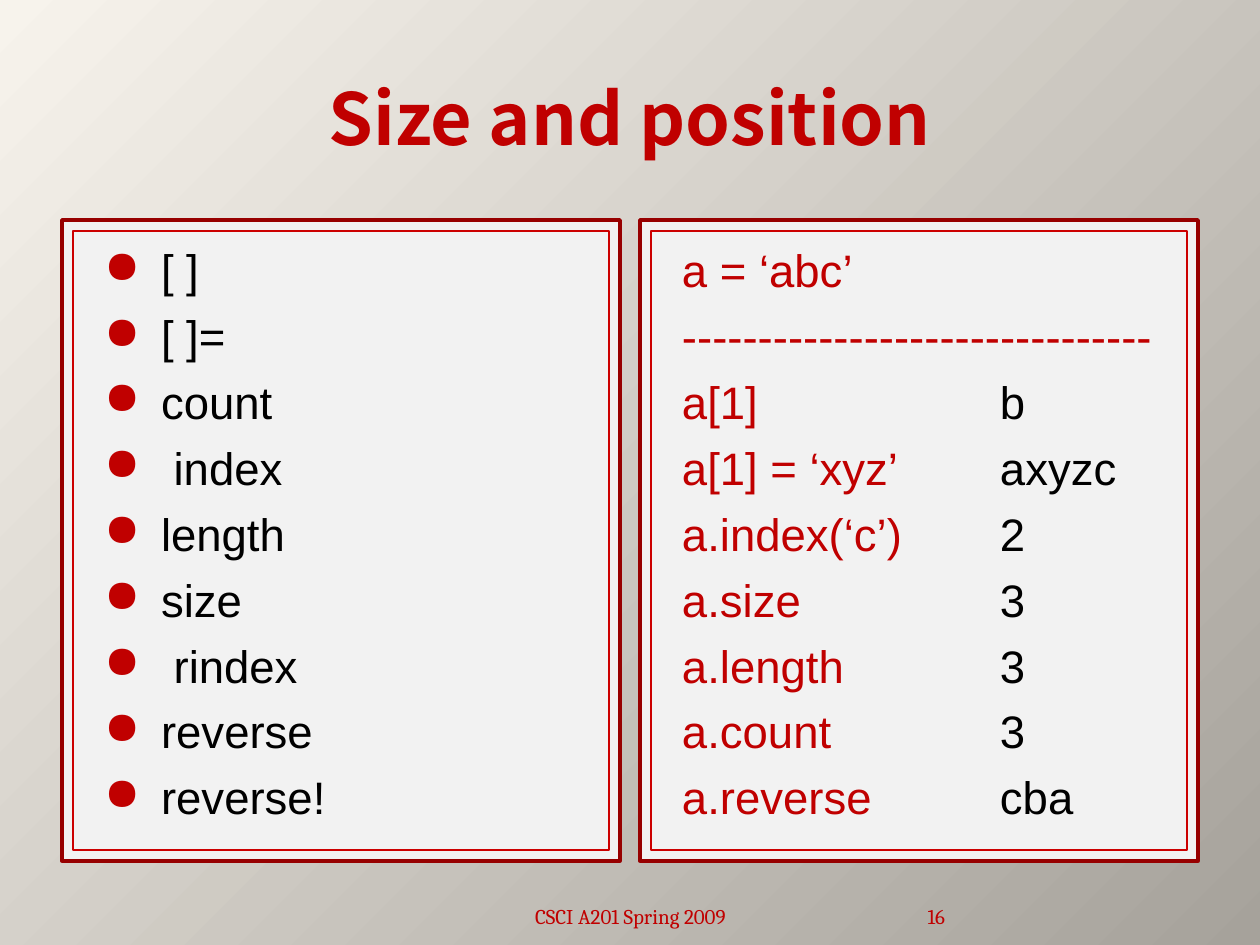
from dataclasses import dataclass

import pptx
import pptx.dml.color
import pptx.enum.shapes
import pptx.enum.text
import pptx.util
from lxml import etree
from pptx.oxml.ns import qn

ALIGN = pptx.enum.text.PP_ALIGN
ANCHOR = pptx.enum.text.MSO_ANCHOR


@dataclass(frozen=True)
class Theme:
    light: str = "F7F3EC"
    shade: str = "A6A29B"
    panel: str = "F2F2F2"
    frame: str = "970000"
    inner_frame: str = "CC0000"
    accent: str = "C00000"
    text: str = "000000"
    title_font: str = "Noto Sans CJK SC"
    body_font: str = "Arial"
    footer_font: str = "Cambria"
    title_size: float = 41
    body_size: float = 26
    footer_size: float = 12
    body_gap: float = 6.5


def px(length):
    return pptx.util.Emu(round(length * 914400 / 126))


def rgb(value):
    return pptx.dml.color.RGBColor.from_string(value)


class SlideBuilder:
    def __init__(self, presentation, theme):
        self.theme = theme
        self.slide = presentation.slides.add_slide(presentation.slide_layouts[5])

    def background(self):
        fill = self.slide.background.fill
        fill.gradient()
        fill.gradient_angle = 315
        for stop, color in zip(fill.gradient_stops, (self.theme.light, self.theme.shade)):
            stop.color.rgb = rgb(color)

    def style_run(self, run, font, size, color, bold=False):
        run.font.name = font
        run.font.size = pptx.util.Pt(size)
        run.font.color.rgb = rgb(color)
        run.font.bold = bold

    def place(self, shape, left, top, width, height):
        shape.left, shape.top = px(left), px(top)
        shape.width, shape.height = px(width), px(height)

    def title(self, text, *box):
        shape = self.slide.shapes.title
        self.place(shape, *box)
        frame = shape.text_frame
        frame.text = text
        frame.vertical_anchor = ANCHOR.MIDDLE
        paragraph = frame.paragraphs[0]
        paragraph.alignment = ALIGN.CENTER
        self.style_run(paragraph.runs[0], self.theme.title_font,
                       self.theme.title_size, self.theme.accent, bold=True)

    def rectangle(self, left, top, width, height, line, weight):
        shape = self.slide.shapes.add_shape(
            pptx.enum.shapes.MSO_SHAPE.RECTANGLE, px(left), px(top), px(width), px(height))
        shape.shadow.inherit = False
        shape.fill.solid()
        shape.fill.fore_color.rgb = rgb(self.theme.panel)
        shape.line.color.rgb = rgb(line)
        shape.line.width = pptx.util.Pt(weight)
        return shape

    def panel(self, left, top, width, height, margin):
        """Draw a double-framed panel and return its empty text frame."""
        self.rectangle(left, top, width, height, self.theme.frame, 2)
        inner = self.rectangle(left + margin, top + margin, width - 2 * margin,
                               height - 2 * margin, self.theme.inner_frame, 0.75)
        frame = inner.text_frame
        frame.word_wrap = True
        frame.vertical_anchor = ANCHOR.TOP
        frame.margin_left, frame.margin_right = px(31), px(13)
        frame.margin_top = px(11)
        return frame

    def body_paragraph(self, frame, index):
        paragraph = frame.add_paragraph() if index else frame.paragraphs[0]
        paragraph.alignment = ALIGN.LEFT
        paragraph.space_before = pptx.util.Pt(self.theme.body_gap if index else 0)
        return paragraph

    def bullets(self, frame, items):
        for index, item in enumerate(items):
            paragraph = self.body_paragraph(frame, index)
            properties = paragraph._p.get_or_add_pPr()
            properties.set("marL", str(px(57)))
            properties.set("indent", str(-px(57)))
            color = etree.SubElement(properties, qn("a:buClr"))
            etree.SubElement(color, qn("a:srgbClr"), val=self.theme.accent)
            etree.SubElement(properties, qn("a:buChar"), char="●")
            paragraph.text = item
            self.style_run(paragraph.runs[0], self.theme.body_font,
                           self.theme.body_size, self.theme.text)

    def results(self, frame, rows, tab):
        """Write expressions in the accent colour, results at a tab stop."""
        for index, (expression, *result) in enumerate(rows):
            paragraph = self.body_paragraph(frame, index)
            pieces = [(expression, self.theme.accent)]
            if result:
                tabs = etree.SubElement(paragraph._p.get_or_add_pPr(), qn("a:tabLst"))
                etree.SubElement(tabs, qn("a:tab"), pos=str(px(tab)), algn="l")
                pieces.append(("\t" + result[0], self.theme.text))
            for text, color in pieces:
                run = paragraph.add_run()
                run.text = text
                self.style_run(run, self.theme.body_font, self.theme.body_size, color)

    def footer(self, text, left, top, width, height, alignment, side_margin):
        box = self.slide.shapes.add_textbox(px(left), px(top), px(width), px(height))
        frame = box.text_frame
        frame.word_wrap = True
        frame.vertical_anchor = ANCHOR.BOTTOM
        frame.margin_left = frame.margin_right = px(side_margin)
        frame.text = text
        paragraph = frame.paragraphs[0]
        paragraph.alignment = alignment
        self.style_run(paragraph.runs[0], self.theme.footer_font,
                       self.theme.footer_size, self.theme.accent)


METHODS = ["[ ]", "[ ]=", "count", " index", "length", "size",
           " rindex", "reverse", "reverse!"]
EXAMPLES = [
    ("a = ‘abc’",),
    ("-" * 31,),
    ("a[1]", "b"),
    ("a[1] = ‘xyz’", "axyzc"),
    ("a.index(‘c’)", "2"),
    ("a.size", "3"),
    ("a.length", "3"),
    ("a.count", "3"),
    ("a.reverse", "cba"),
]


def main():
    presentation = pptx.Presentation()
    presentation.slide_width, presentation.slide_height = px(1260), px(945)
    builder = SlideBuilder(presentation, Theme())

    # Background and title
    builder.background()
    builder.title("Size and position", 63, 38, 1134, 157)

    # Two panels of equal size
    left, top, width, height, gap, margin = 62, 220, 558, 641, 20, 11
    method_frame, example_frame = [
        builder.panel(left + column * (width + gap), top, width, height, margin)
        for column in range(2)]
    builder.bullets(method_frame, METHODS)
    builder.results(example_frame, EXAMPLES, tab=318)

    # Footer and slide number
    builder.footer("CSCI A201 Spring 2009", 431, 885, 399, 50, ALIGN.CENTER, 13)
    builder.footer("16", 840, 885, 105, 50, ALIGN.RIGHT, 0)

    presentation.save("out.pptx")


if __name__ == "__main__":
    main()
